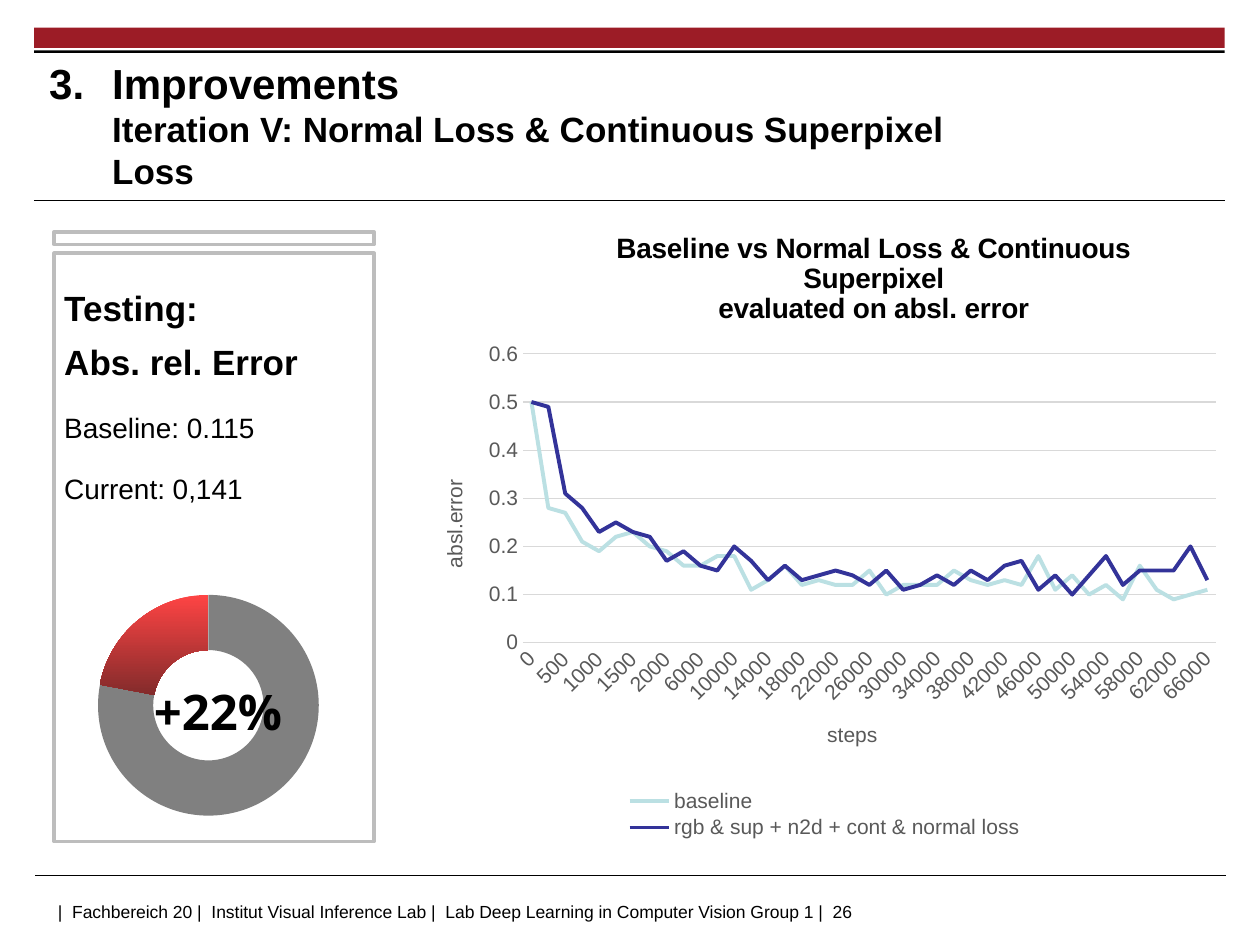
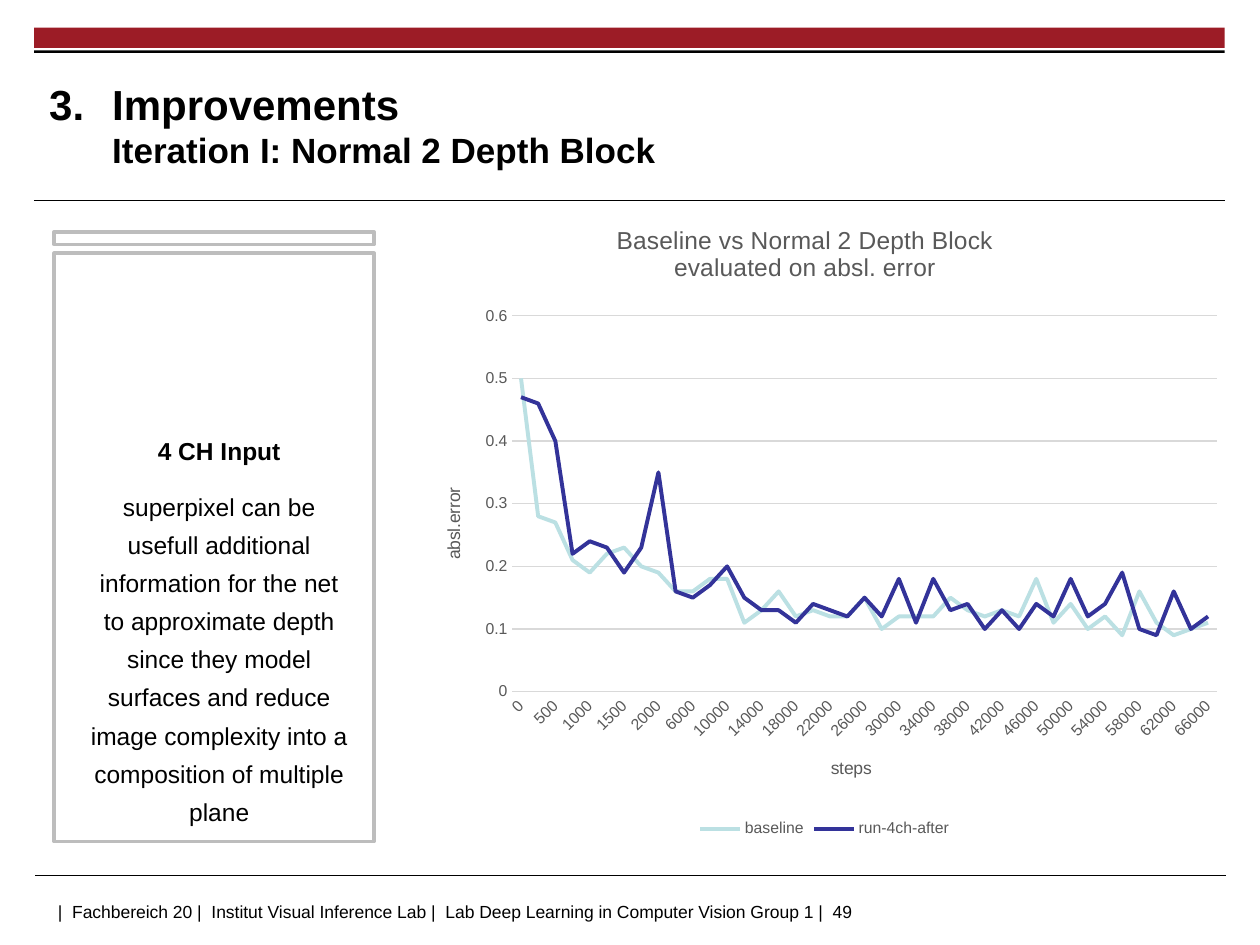
from copy import deepcopy
from dataclasses import dataclass

from lxml.etree import SubElement
from pptx import Presentation
from pptx.chart.data import CategoryChartData
from pptx.dml.color import RGBColor
from pptx.enum.chart import XL_CHART_TYPE as ChartType, XL_LEGEND_POSITION as LegendPos
from pptx.enum.chart import XL_TICK_MARK as TickMark
from pptx.enum.shapes import MSO_CONNECTOR as Connector, MSO_SHAPE as Shape
from pptx.enum.text import MSO_ANCHOR as Anchor, MSO_AUTO_SIZE as AutoSize, PP_ALIGN as Align
from pptx.oxml.ns import qn
from pptx.util import Inches, Pt


@dataclass(frozen=True)
class Theme:
    font: str = "Arial"
    accent_font: str = "Open Sans"
    black: str = "000000"
    white: str = "FFFFFF"
    band: str = "9C1C26"
    frame: str = "BDBDBD"
    chart_text: str = "595959"
    grid: str = "D9D9D9"
    baseline: str = "BBE0E3"
    run: str = "333399"
    ring: str = "808080"
    ring_top: str = "FE4444"
    ring_bottom: str = "832B2B"
    title: int = 24
    heading: int = 20
    body: int = 16
    note: int = 14
    footer: int = 10
    figure: int = 28


THEME = Theme()

FOOTER = ["Fachbereich 20", "Institut Visual Inference Lab",
          "Lab Deep Learning in Computer Vision Group 1"]
STEPS = [*range(0, 2000, 250), *range(2000, 66001, 2000)]
BASELINE = [0.5, 0.28, 0.27, 0.21, 0.19, 0.22, 0.23, 0.2, 0.19, 0.16, 0.16, 0.18, 0.18, 0.11,
            0.13, 0.16, 0.12, 0.13, 0.12, 0.12, 0.15, 0.1, 0.12, 0.12, 0.12, 0.15, 0.13, 0.12,
            0.13, 0.12, 0.18, 0.11, 0.14, 0.1, 0.12, 0.09, 0.16, 0.11, 0.09, 0.1, 0.11]
SUPERPIXEL_LOSS = [0.5, 0.49, 0.31, 0.28, 0.23, 0.25, 0.23, 0.22, 0.17, 0.19, 0.16, 0.15, 0.2,
                   0.17, 0.13, 0.16, 0.13, 0.14, 0.15, 0.14, 0.12, 0.15, 0.11, 0.12, 0.14, 0.12,
                   0.15, 0.13, 0.16, 0.17, 0.11, 0.14, 0.1, 0.14, 0.18, 0.12, 0.15, 0.15, 0.15,
                   0.2, 0.13]
FOUR_CHANNEL = [0.47, 0.46, 0.4, 0.22, 0.24, 0.23, 0.19, 0.23, 0.35, 0.16, 0.15, 0.17, 0.2, 0.15,
                0.13, 0.13, 0.11, 0.14, 0.13, 0.12, 0.15, 0.12, 0.18, 0.11, 0.18, 0.13, 0.14, 0.1,
                0.13, 0.1, 0.14, 0.12, 0.18, 0.12, 0.14, 0.19, 0.1, 0.09, 0.16, 0.1, 0.12]

# Each paragraph is a list of lines: (text, size, bold).
RESULTS = [
    [("Testing:", THEME.heading, True), ("Abs. rel. Error", THEME.heading, True)],
    [("Baseline: 0.115", THEME.body, False)],
    [("Current: 0,141", THEME.body, False)],
]
INPUT_NOTE = [
    [("4 CH Input", THEME.note, True)],
    [("superpixel can be usefull additional information for the net to approximate depth since "
      "they model surfaces and reduce image complexity into a composition of multiple plane",
      THEME.note, False)],
]
LOSS_SLIDE = dict(
    number=26, subtitle="Iteration V: Normal Loss & Continuous Superpixel Loss",
    chart=dict(
        title=[("Baseline vs Normal Loss & Continuous Superpixel", 16, True),
               ("evaluated on absl. error", 16, True)],
        title_color=THEME.black, run="rgb & sup + n2d + cont & normal loss",
        values=SUPERPIXEL_LOSS, label_size=12, axis_title_size=12,
        title_at=(0.24, 0.03), plot_at=(0.13, 0.23, 0.85, 0.455),
        legend_at=(0.25, 0.91, 0.5, 0.09)))
INPUT_SLIDE = dict(
    number=49, subtitle="Iteration I: Normal 2 Depth Block",
    chart=dict(
        title=[("Baseline vs Normal 2 Depth Block", 14, False),
               ("evaluated on absl. error", 14, False)],
        title_color=THEME.chart_text, run="run-4ch-after",
        values=FOUR_CHANNEL, label_size=9, axis_title_size=10,
        title_at=(0.24, 0.02), plot_at=(0.117, 0.17, 0.864, 0.592), legend_at=None))


def rgb(color):
    return RGBColor.from_string(color)


def inches(*lengths):
    return [Inches(length) for length in lengths]


def style_font(font, size, color=THEME.black, bold=False, name=THEME.font):
    font.size, font.bold, font.name = Pt(size), bold, name
    font.color.rgb = rgb(color)


def write(frame, paragraphs, color=THEME.black, font=THEME.font, align=None, spacing=None,
          before=None):
    """Fill a text frame with paragraphs of (text, size, bold) lines."""
    for index, lines in enumerate(paragraphs):
        para = frame.add_paragraph() if index else frame.paragraphs[0]
        if align is not None:
            para.alignment = align
        if spacing:
            para.line_spacing = spacing
        if before and index:
            para.space_before = Pt(before)
        for position, (text, size, bold) in enumerate(lines):
            if position:
                para.add_line_break()
                para._p[-1].append(deepcopy(span._r.rPr))
            span = para.add_run()
            span.text = text
            style_font(span.font, size, color, bold, font)


def set_up_frame(frame, margins, anchor=Anchor.TOP):
    frame.word_wrap, frame.auto_size, frame.vertical_anchor = True, AutoSize.NONE, anchor
    (frame.margin_left, frame.margin_top,
     frame.margin_right, frame.margin_bottom) = inches(*margins)


def add_text(slide, at, paragraphs, margins=(0.1, 0.05, 0.1, 0.05), anchor=Anchor.TOP, **style):
    frame = slide.shapes.add_textbox(*inches(*at)).text_frame
    set_up_frame(frame, margins, anchor)
    write(frame, paragraphs, **style)


def add_box(shapes, at, fill, line=None):
    box = shapes.add_shape(Shape.RECTANGLE, *inches(*at))
    box.shadow.inherit = False
    box.fill.solid()
    box.fill.fore_color.rgb = rgb(fill)
    if line:
        box.line.color.rgb, box.line.width = rgb(line), Pt(2)
    else:
        box.line.fill.background()
    return box


def add_rule(slide, left, top):
    rule = slide.shapes.add_connector(Connector.STRAIGHT, *inches(left, top, left + 9.45, top))
    rule.line.color.rgb, rule.line.width = rgb(THEME.black), Pt(0.6)
    SubElement(rule._element.spPr, qn("a:effectLst"))


def add_page(deck, number, subtitle):
    page = deck.slides.add_slide(deck.slide_layouts[5])
    add_box(page.shapes, (0.27, 0.22, 9.45, 0.16), THEME.band)
    add_box(page.shapes, (0.27, 0.4, 9.45, 0.02), THEME.black)
    add_rule(page, 0.27, 1.59)
    add_rule(page, 0.28, 6.95)
    footer = "|  " + " |  ".join([*FOOTER, str(number)])
    add_text(page, (0.28, 7.1, 7.88, 0.25), [[(footer, THEME.footer, False)]],
             margins=(0.18, 0.05, 0.1, 0.05))

    title = page.shapes.title
    title.left, title.top, title.width, title.height = inches(0.39, 0.53, 7.26, 0.92)
    set_up_frame(title.text_frame, (0, 0, 0, 0), Anchor.MIDDLE)
    properties = title.text_frame.paragraphs[0]._p.get_or_add_pPr()
    properties.set("marL", str(Inches(0.5)))
    properties.set("indent", str(-Inches(0.5)))
    SubElement(properties, qn("a:buFont"), typeface=THEME.font)
    SubElement(properties, qn("a:buAutoNum"), type="arabicPeriod", startAt="3")
    write(title.text_frame, [[("Improvements", THEME.title, True),
                              (subtitle, THEME.heading, True)]], align=Align.LEFT)
    return page


def add_panel(page):
    """Add the framed panel with its narrow cap and return the large frame."""
    group = page.shapes.add_group_shape()
    panel = add_box(group.shapes, (0.43, 2.01, 2.54, 4.67), THEME.white, THEME.frame)
    add_box(group.shapes, (0.43, 1.84, 2.54, 0.1), THEME.white, THEME.frame)
    return panel


def place(parent, at, after=None, inner=False):
    """Give a chart part a manual layout, as fractions of the chart."""
    for old in parent.findall(qn("c:layout")):
        parent.remove(old)
    layout = parent.makeelement(qn("c:layout"))
    manual = SubElement(layout, qn("c:manualLayout"))
    if inner:
        SubElement(manual, qn("c:layoutTarget"), val="inner")
    for mode in ("xMode", "yMode"):
        SubElement(manual, qn(f"c:{mode}"), val="edge")
    for name, value in zip("xywh", at):
        SubElement(manual, qn(f"c:{name}"), val=str(value))
    if after:
        parent.find(qn(after)).addnext(layout)
    else:
        parent.insert(0, layout)


def style_axis(axis, title, label_size, title_size):
    axis.major_tick_mark = axis.minor_tick_mark = TickMark.NONE
    style_font(axis.tick_labels.font, label_size, THEME.chart_text)
    axis.has_title = True
    write(axis.axis_title.text_frame, [[(title, title_size, False)]], color=THEME.chart_text)


def add_error_chart(page, title, title_color, run, values, label_size, axis_title_size,
                    title_at, plot_at, legend_at):
    data = CategoryChartData()
    data.categories = [str(step) for step in STEPS]
    data.add_series("baseline", BASELINE)
    data.add_series(run, values)
    chart = page.shapes.add_chart(ChartType.LINE, *inches(3.31, 1.65, 6.47, 5.04), data).chart
    style_font(chart.font, axis_title_size)
    for series, color in zip(chart.plots[0].series, (THEME.baseline, THEME.run)):
        series.smooth = False
        series.format.line.color.rgb, series.format.line.width = rgb(color), Pt(2.25)
    chart.plots[0].vary_by_categories = False

    steps, errors = chart.category_axis, chart.value_axis
    style_axis(steps, "steps", label_size, axis_title_size)
    style_axis(errors, "absl.error", label_size, axis_title_size)
    steps._element.txPr.bodyPr.set("rot", "-2700000")
    errors.axis_title.text_frame._txBody.bodyPr.set("rot", "-5400000")
    errors.minimum_scale, errors.maximum_scale, errors.major_unit = 0, 0.6, 0.1
    errors.format.line.fill.background()
    for line in (steps.format.line, errors.major_gridlines.format.line):
        line.color.rgb, line.width = rgb(THEME.grid), Pt(0.75)

    chart.has_title = True
    write(chart.chart_title.text_frame, [title], color=title_color)
    place(chart.chart_title._element, title_at, after="c:tx")
    place(chart._chartSpace.chart.plotArea, plot_at, inner=True)
    chart.has_legend = True
    chart.legend.position, chart.legend.include_in_layout = LegendPos.BOTTOM, False
    style_font(chart.legend.font, label_size, THEME.chart_text)
    if legend_at:
        place(chart.legend._element, legend_at, after="c:legendPos")


def add_ring(page, change):
    data = CategoryChartData()
    data.categories = ["1", "2"]
    data.add_series("Series 1", [100 - change, change])
    chart = page.shapes.add_chart(ChartType.DOUGHNUT, *inches(0.27, 4.28, 2.54, 2.56), data).chart
    style_font(chart.font, THEME.footer)
    chart.has_title = chart.has_legend = False
    place(chart._chartSpace.chart.plotArea, (0.2, 0.08, 0.69, 0.87), inner=True)
    plot = chart.plots[0]
    plot._element.find(qn("c:holeSize")).set("val", "80")
    rest, gain = [plot.series[0].points[index].format for index in range(2)]
    for part in (rest, gain):
        part.line.fill.background()
    rest.fill.solid()
    rest.fill.fore_color.rgb = rgb(THEME.ring)
    gain.fill.gradient()
    gain.fill.gradient_angle = 270
    for stop, color in zip(gain.fill.gradient_stops, (THEME.ring_top, THEME.ring_bottom)):
        stop.color.rgb = rgb(color)
    add_text(page, (0.98, 5.28, 1.5, 0.57), [[(f"+{change}%", THEME.figure, True)]],
             margins=(0.1, 0, 0.1, 0.05), anchor=Anchor.MIDDLE, font=THEME.accent_font,
             align=Align.CENTER, spacing=1.45)


def build_loss_slide(deck):
    page = add_page(deck, LOSS_SLIDE["number"], LOSS_SLIDE["subtitle"])
    add_panel(page)
    add_error_chart(page, **LOSS_SLIDE["chart"])
    add_text(page, (0.51, 2.13, 2.45, 1.93), RESULTS, margins=(0, 0.04, 0.24, 0.04),
             spacing=1.3, before=10)
    add_ring(page, 22)


def build_input_slide(deck):
    page = add_page(deck, INPUT_SLIDE["number"], INPUT_SLIDE["subtitle"])
    frame = add_panel(page).text_frame
    set_up_frame(frame, (0.28, 0.35, 0.2, 0.12), Anchor.BOTTOM)
    write(frame, INPUT_NOTE, align=Align.CENTER, spacing=1.3, before=10)
    add_error_chart(page, **INPUT_SLIDE["chart"])


def main():
    deck = Presentation()
    deck.slide_width, deck.slide_height = inches(10, 7.5)
    build_loss_slide(deck)
    build_input_slide(deck)
    deck.save("out.pptx")


if __name__ == "__main__":
    main()
